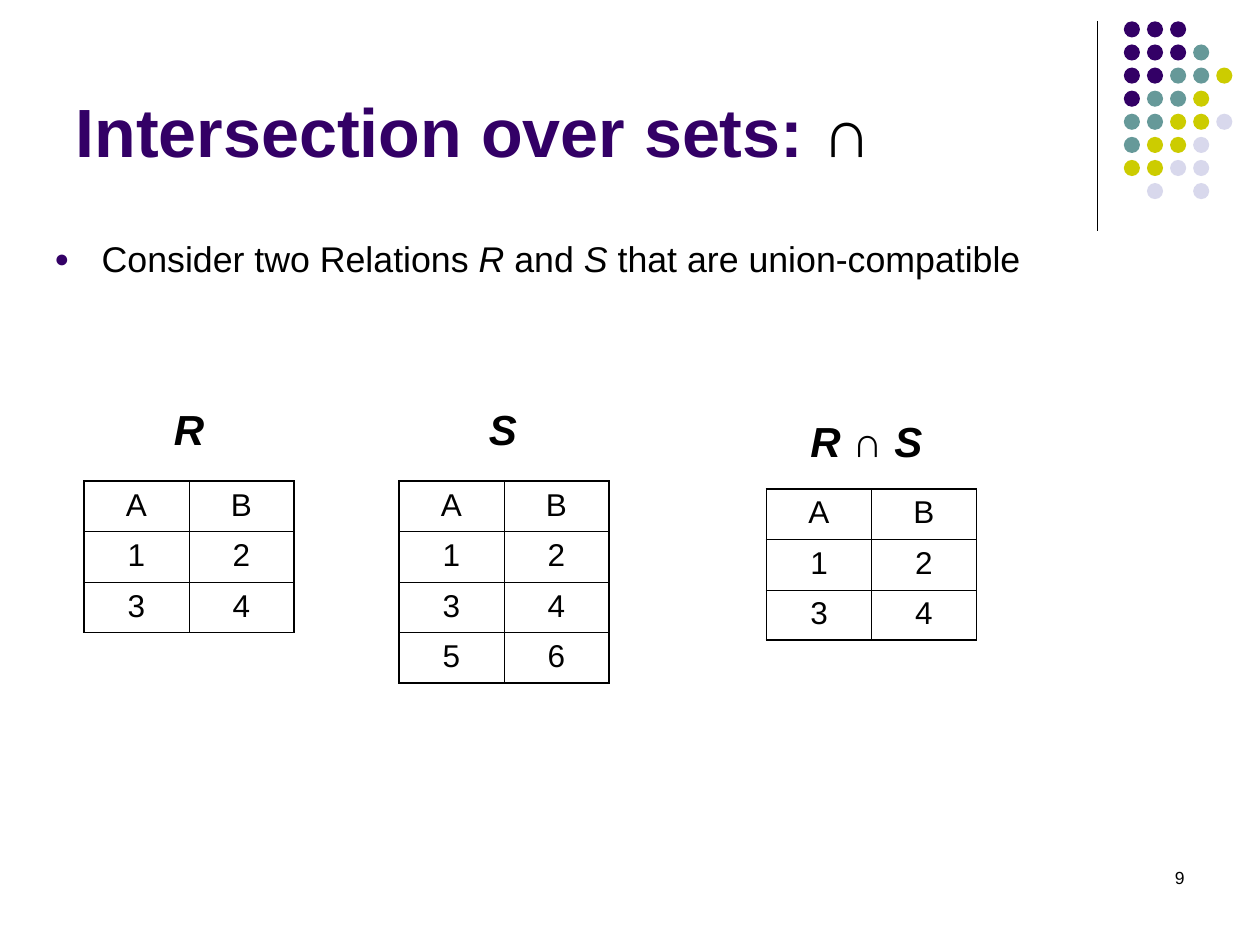
import pptx
import pptx.util
import pptx.dml.color
import pptx.enum.shapes
import pptx.enum.text
import pptx.oxml
import pptx.oxml.ns

Pt = pptx.util.Pt
PP_ALIGN = pptx.enum.text.PP_ALIGN
ANCHOR = pptx.enum.text.MSO_ANCHOR
AUTO_SIZE = pptx.enum.text.MSO_AUTO_SIZE
SHAPE = pptx.enum.shapes.MSO_SHAPE

COLORS = {"ink": "000000", "purple": "330066", "teal": "669999",
          "lime": "CCCC00", "lilac": "D8D8EC"}
FONT = "Arial"

# Runs are (text, format that differs from the paragraph)
TITLE = [("Intersection over sets: ", {"color": "purple"}), ("∩", {})]
BULLET = [("Consider two Relations ", {}), ("R", {"italic": True}), (" and ", {}),
          ("S", {"italic": True}), (" that are union-compatible", {})]
PAGE_NUMBER = [("9", {})]

SLANTED = {"italic": True}
HEADER = ["A", "B"]
SHARED_ROWS = [["1", "2"], ["3", "4"]]
RELATIONS = [
    {"label": [("R", SLANTED)], "label_box": (92.3, 227, 31.7, 36),
     "at": (48, 275), "rows": [HEADER] + SHARED_ROWS, "bottom": 0.45},
    {"label": [("S", SLANTED)], "label_box": (272.3, 227, 30.2, 36),
     "at": (228, 275), "rows": [HEADER] + SHARED_ROWS + [["5", "6"]], "bottom": 1.08},
    {"label": [("R ", SLANTED), ("∩ ", {}), ("S", SLANTED)],
     "label_box": (456, 234, 84, 40),
     "at": (438, 279.4), "rows": [HEADER] + SHARED_ROWS, "bottom": 1.08},
]
COL_W, ROW_H = 60, 28.8
INNER, OUTER = 0.45, 1.08

# One letter per dot: purple, teal, lime (y), lilac; a dot marks a gap
DOT_ROWS = ["ppp..", "pppt.", "pptty", "ptty.", "ttyyl", "tyyl.", "yyll.", ".l.l."]
DOT_COLORS = {"p": "purple", "t": "teal", "y": "lime", "l": "lilac"}
DOT_LEFT, DOT_TOP, DOT_STEP, DOT_SIZE = 642.2, 12.2, 13.2, 9.2


def rgb(name):
    return pptx.dml.color.RGBColor.from_string(COLORS[name])


def add_xml(parent, xml):
    """Append a DrawingML element whose opening tag contains a space."""
    ns = pptx.oxml.ns.nsdecls("a")
    parent.append(pptx.oxml.parse_xml(xml.replace(" ", f" {ns} ", 1)))


def write_text(tf, runs, size=18, bold=False, align=PP_ALIGN.LEFT):
    p = tf.paragraphs[0]
    p.alignment = align
    for text, fmt in runs:
        r = p.add_run()
        r.text = text
        r.font.name = FONT
        r.font.size = Pt(size)
        r.font.bold = bold
        r.font.italic = fmt.get("italic", False)
        r.font.color.rgb = rgb(fmt.get("color", "ink"))
    return p


def add_text_box(slide, box, wrap=True):
    tf = slide.shapes.add_textbox(*map(Pt, box)).text_frame
    tf.word_wrap = wrap
    return tf


def add_title(slide):
    sp = slide.shapes.title
    sp.left, sp.top, sp.width, sp.height = map(Pt, (36, 9.4, 594, 92.2))
    tf = sp.text_frame
    tf.auto_size = AUTO_SIZE.NONE
    tf.vertical_anchor = ANCHOR.BOTTOM
    write_text(tf, TITLE, size=39, bold=True)


def add_bullet(slide):
    p = write_text(add_text_box(slide, (24, 132, 600, 36)), BULLET, size=20.4)
    pPr = p._p.get_or_add_pPr()
    pPr.set("marL", str(Pt(27)))
    pPr.set("indent", str(-Pt(27)))
    add_xml(pPr, f'<a:buClr ><a:srgbClr val="{COLORS["purple"]}"/></a:buClr>')
    add_xml(pPr, '<a:buSzPct val="70000"/>')
    add_xml(pPr, f'<a:buFont typeface="{FONT}"/>')
    add_xml(pPr, '<a:buChar char="●"/>')


def add_decoration(slide):
    line = slide.shapes.add_connector(pptx.enum.shapes.MSO_CONNECTOR.STRAIGHT,
                                      Pt(627), Pt(12), Pt(627), Pt(132))
    line.line.color.rgb = rgb("ink")
    line.line.width = Pt(0.75)
    add_xml(line._element.spPr, "<a:effectLst />")

    dots = slide.shapes.add_group_shape()
    for i, row in enumerate(DOT_ROWS):
        for j, key in enumerate(row):
            if key not in DOT_COLORS:
                continue
            dot = dots.shapes.add_shape(
                SHAPE.OVAL, Pt(DOT_LEFT + j * DOT_STEP), Pt(DOT_TOP + i * DOT_STEP),
                Pt(DOT_SIZE), Pt(DOT_SIZE))
            dot.fill.solid()
            dot.fill.fore_color.rgb = rgb(DOT_COLORS[key])
            dot.line.fill.background()
            dot.shadow.inherit = False


def set_borders(cell, widths):
    """Draw the cell's left, right, top and bottom lines, in that order."""
    tcPr = cell._tc.get_or_add_tcPr()
    for side, width in zip("LRTB", widths):
        add_xml(tcPr, f'<a:ln{side} w="{Pt(width)}"><a:solidFill>'
                      f'<a:srgbClr val="{COLORS["ink"]}"/></a:solidFill></a:ln{side}>')


def add_relation(slide, relation):
    rows = relation["rows"]
    n_rows, n_cols = len(rows), len(rows[0])
    table = slide.shapes.add_table(n_rows, n_cols, *map(Pt, relation["at"]),
                                   Pt(n_cols * COL_W), Pt(n_rows * ROW_H)).table
    table.first_row = table.horz_banding = False
    for col in table.columns:
        col.width = Pt(COL_W)
    for i, row in enumerate(rows):
        table.rows[i].height = Pt(ROW_H)
        for j, value in enumerate(row):
            cell = table.cell(i, j)
            write_text(cell.text_frame, [(value, {})], align=PP_ALIGN.CENTER)
            set_borders(cell, (OUTER if j == 0 else INNER,
                               OUTER if j == n_cols - 1 else INNER,
                               OUTER if i == 0 else INNER,
                               relation["bottom"] if i == n_rows - 1 else INNER))
            cell.fill.background()

    tf = add_text_box(slide, relation["label_box"], wrap=False)
    tf.auto_size = AUTO_SIZE.SHAPE_TO_FIT_TEXT
    write_text(tf, relation["label"], size=24, bold=True)


def main():
    prs = pptx.Presentation()
    prs.slide_width, prs.slide_height = Pt(720), Pt(540)
    slide = prs.slides.add_slide(prs.slide_layouts[5])
    add_decoration(slide)
    add_title(slide)
    add_bullet(slide)
    for relation in RELATIONS:
        add_relation(slide, relation)
    write_text(add_text_box(slide, (516, 492, 168, 36)), PAGE_NUMBER,
               size=10, align=PP_ALIGN.RIGHT)
    prs.save("out.pptx")


if __name__ == "__main__":
    main()
